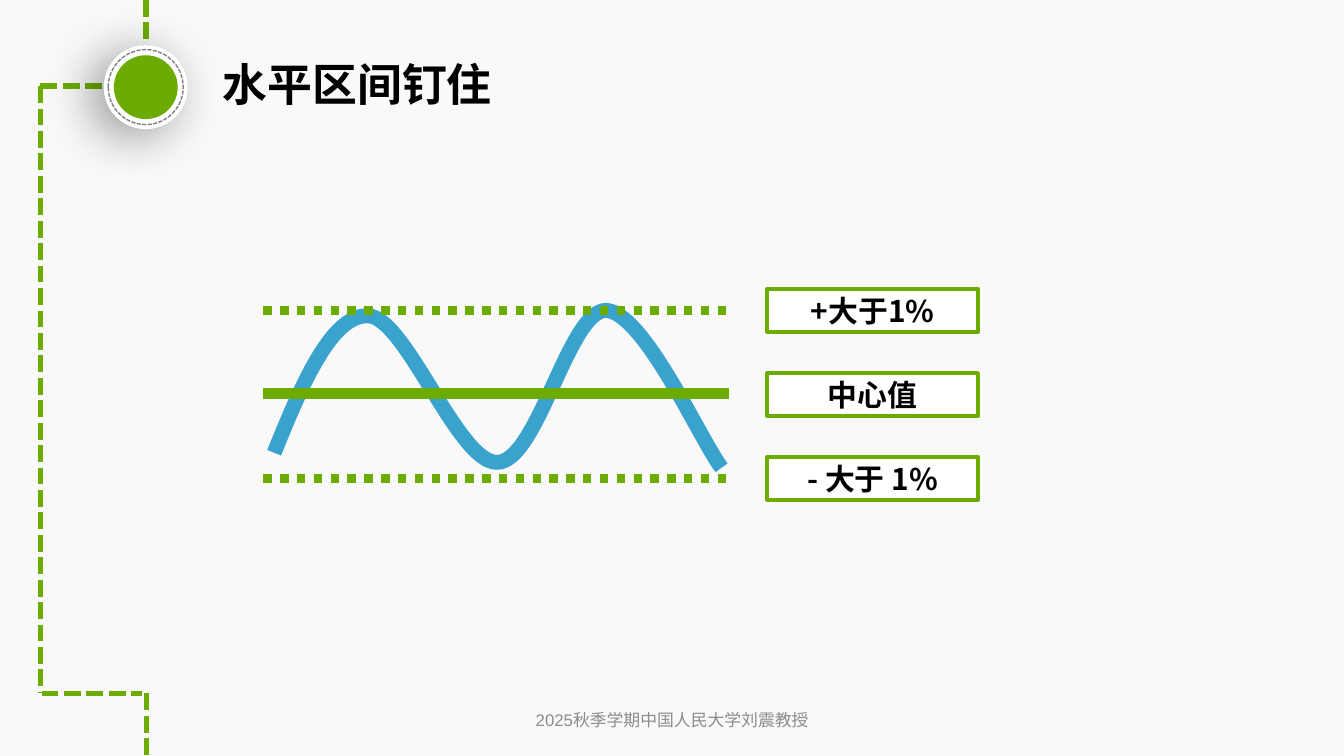
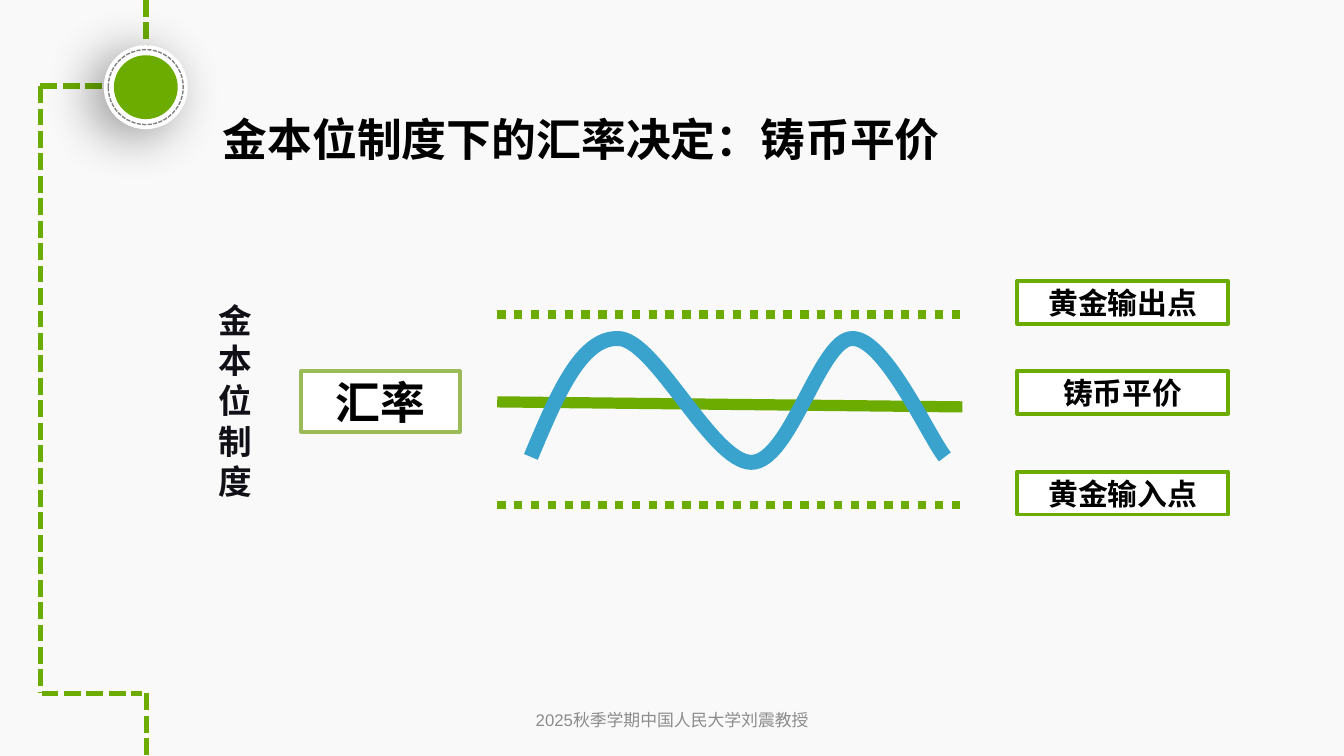
"""Build two slides on exchange rate bands: horizontal band peg and mint parity."""
from lxml import etree
from pptx import Presentation
from pptx.dml.color import RGBColor
from pptx.enum import dml, shapes, text
from pptx.oxml import ns
from pptx.util import Pt

GREEN, BLUE, WHITE, BLACK = "6CAC00", "39A3CD", "FFFFFF", "000000"
PAPER, OLIVE, RING_GREY, FOOTER_GREY, INK = "F9F9F9", "9BBB59", "808080", "8C8C8C", "101016"
ARIAL, NOTO = "Arial", "Noto Sans CJK SC"
DASH, DOT = dml.MSO_LINE.SQUARE_DOT, dml.MSO_LINE.ROUND_DOT
LEFT, CENTER = text.PP_ALIGN.LEFT, text.PP_ALIGN.CENTER
MIDDLE, TOP = text.MSO_ANCHOR.MIDDLE, text.MSO_ANCHOR.TOP
FOOTER = "2025秋季学期中国人民大学刘震教授"


def color(hex_code):
    """Return the colour for a hex string."""
    return RGBColor.from_string(hex_code)


def sub(parent, tag, **attributes):
    """Append a DrawingML child element."""
    return etree.SubElement(parent, ns.qn(tag), **attributes)


def style_line(line, hex_code, width, dash=None):
    """Set colour, width and dash of an outline."""
    line.color.rgb = color(hex_code)
    line.width = Pt(width)
    if dash is not None:
        line.dash_style = dash


def draw_line(slide, start, end, width, dash=None):
    """Draw a straight green line between two points."""
    rule = slide.shapes.add_connector(
        shapes.MSO_CONNECTOR.STRAIGHT, *[Pt(v) for v in (*start, *end)])
    style_line(rule.line, GREEN, width, dash)
    sub(rule._element.spPr, "a:effectLst")


def draw_shape(slide, kind, box, fill=None, outline=None):
    """Draw a preset shape with an optional fill and outline."""
    shape = slide.shapes.add_shape(kind, *[Pt(v) for v in box])
    shape.shadow.inherit = False
    if fill:
        shape.fill.solid()
        shape.fill.fore_color.rgb = color(fill)
    else:
        shape.fill.background()
    if outline:
        style_line(shape.line, *outline)
    else:
        shape.line.fill.background()
    return shape


def write(shape, wording, size, font, hex_code=BLACK, bold=True, align=LEFT,
          anchor=MIDDLE, insets=(7.2, 3.6), wrap=True, spacing=None):
    """Fill a shape with uniformly formatted text."""
    frame = shape.text_frame
    frame.text = wording
    frame.word_wrap = wrap
    frame.vertical_anchor = anchor
    frame.margin_left = frame.margin_right = Pt(insets[0])
    frame.margin_top = frame.margin_bottom = Pt(insets[1])
    for paragraph in frame.paragraphs:
        paragraph.alignment = align
        if spacing:
            paragraph.line_spacing = Pt(spacing)
        for run in paragraph.runs:
            run.font.size = Pt(size)
            run.font.bold = bold
            run.font.color.rgb = color(hex_code)
            run.font.name = font
            sub(run._r.get_or_add_rPr(), "a:ea", typeface=NOTO)


def add_text(slide, box, wording, *args, **kwargs):
    """Add a text box with formatted text."""
    write(slide.shapes.add_textbox(*[Pt(v) for v in box]), wording, *args, **kwargs)


def add_badge(slide, box):
    """Draw the round badge with its soft shadow and dashed ring."""
    left, top, size, _ = box
    oval = shapes.MSO_SHAPE.OVAL

    def inner(gap):
        return left + gap, top + gap, size - 2 * gap, size - 2 * gap

    disc = draw_shape(slide, oval, box, WHITE)
    effects = disc._element.spPr.find(ns.qn("a:effectLst"))
    shadow = sub(effects, "a:outerShdw", blurRad=str(Pt(28)), dist=str(Pt(8)),
                 dir="9000000", algn="ctr", rotWithShape="0")
    sub(sub(shadow, "a:srgbClr", val=BLACK), "a:alpha", val="40000")
    draw_shape(slide, oval, inner(5.4), GREEN)
    draw_shape(slide, oval, inner(2.4), outline=(RING_GREY, 0.75, DASH))


def add_frame(slide, box):
    """Draw the dashed route, the badge and the footer."""
    left, top, width, height = box
    rail, stem = left + 21.6, left + 78.3
    upper, lower = top + 46.2, top + 371.5
    for start, end in (
        ((rail, upper), (left + 81.4, upper)),
        ((stem, top), (stem, top + 44.6)),
        ((rail, upper), (rail, lower)),
        ((rail + 0.7, lower), (stem - 2, lower)),
        ((stem + 0.2, lower), (stem + 0.2, top + height)),
    ):
        draw_line(slide, start, end, 3, DASH)
    add_badge(slide, (left + 55.6, top + 24.2, 45, 45))
    add_text(slide, (left + width / 2 - 114, top + height - 30, 228, 21.6),
             FOOTER, 9, ARIAL, FOOTER_GREY, bold=False, align=CENTER)


def add_title(slide, box, wording):
    """Write the slide title."""
    add_text(slide, box, wording, 24, ARIAL)


def add_label(slide, box, wording, size=16, outline=GREEN):
    """Draw a white outlined box with a centred caption."""
    label = draw_shape(slide, shapes.MSO_SHAPE.RECTANGLE, box, WHITE, (outline, 2))
    write(label, wording, size, NOTO, align=CENTER, insets=(3.6, 2.1))


def add_wave(slide, box, points):
    """Draw the rate curve through Bezier points relative to the box."""
    left, top = box[:2]
    start, *others = [(Pt(left + x), Pt(top + y)) for x, y in points]
    outline = slide.shapes.build_freeform(*start, scale=1.0)
    outline.add_line_segments(others, close=False)
    wave = outline.convert_to_shape()
    wave.shadow.inherit = False
    wave.fill.background()
    style_line(wave.line, BLUE, 8)
    segments = list(wave._element.iter(ns.qn("a:lnTo")))
    for first in range(0, len(segments), 3):
        trio = segments[first:first + 3]
        curve = etree.Element(ns.qn("a:cubicBezTo"))
        trio[0].addprevious(curve)
        for segment in trio:
            curve.append(segment[0])
            segment.getparent().remove(segment)


def add_limits(slide, box):
    """Draw the dotted upper and lower limits along the box edges."""
    left, top, width, height = box
    for y in (top, top + height):
        draw_line(slide, (left, y), (left + width, y), 4.5, DOT)


def add_parity(slide, box, start, end):
    """Draw the central line, given its offsets from the box top."""
    left, top, width, _ = box
    draw_line(slide, (left, top + start), (left + width, top + end), 6)


def add_labels(slide, box, captions, offsets):
    """Place the captions in one column at offsets from the box top."""
    left, top, width, height = box
    for caption, offset in zip(captions, offsets):
        add_label(slide, (left, top + offset, width, height), caption)


def build_band_slide(slide, page):
    """Fill the slide on the horizontal band peg."""
    add_frame(slide, page)
    add_title(slide, (112.3, 24.5, 361, 40.3), "水平区间钉住")
    band = (141.1, 166.3, 249.2, 90)
    add_wave(slide, band, [
        (5.8, 76.3), (20.9, 38.9), (36.7, 2.2), (56.2, 2.9), (76.3, 3.6),
        (104.4, 82.1), (125.3, 81.4), (146.9, 81.4), (163.5, 0), (183.6, 0),
        (203.8, 0.7), (234.7, 70.6), (245.5, 84.3)])
    add_limits(slide, band)
    add_parity(slide, band, 44.7, 44.7)
    add_labels(slide, (411, 154.8, 113, 23), ("+大于1%", "中心值", "- 大于 1%"), (0, 45, 90))


def build_parity_slide(slide, page):
    """Fill the slide on mint parity under the gold standard."""
    add_frame(slide, page)
    add_title(slide, (112.3, 54, 440, 40.3), "金本位制度下的汇率决定：铸币平价")
    add_label(slide, (161.2, 198.9, 85.2, 32.4), "汇率", 24, OLIVE)
    band = (266.4, 168.5, 249.2, 102.2)
    add_parity(slide, band, 46.8, 49.5)
    add_wave(slide, band, [
        (18, 76.3), (31.7, 43.9), (44.6, 12.2), (64.8, 12.9), (84.2, 12.9),
        (115.2, 79.2), (136.1, 79.2), (157, 79.2), (172.8, 12.9), (190.1, 12.9),
        (207.4, 12.2), (231.1, 65.5), (239.8, 76.3)])
    add_limits(slide, band)
    add_labels(slide, (545, 150.5, 113, 23),
               ("黄金输出点", "铸币平价", "黄金输入点"), (0, 48.2, 102.2))
    add_text(slide, (110.2, 157, 32.4, 116.6), "\n".join("金本位制度"), 18, NOTO, INK,
             anchor=TOP, wrap=False, spacing=21.6)


def main():
    """Create and save the presentation."""
    deck = Presentation()
    deck.slide_width, deck.slide_height = Pt(720), Pt(405)
    backdrop = deck.slide_master.background.fill
    backdrop.solid()
    backdrop.fore_color.rgb = color(PAPER)
    for build in (build_band_slide, build_parity_slide):
        build(deck.slides.add_slide(deck.slide_layouts[6]), (0, 0, 720, 405))
    deck.save("out.pptx")


if __name__ == "__main__":
    main()
